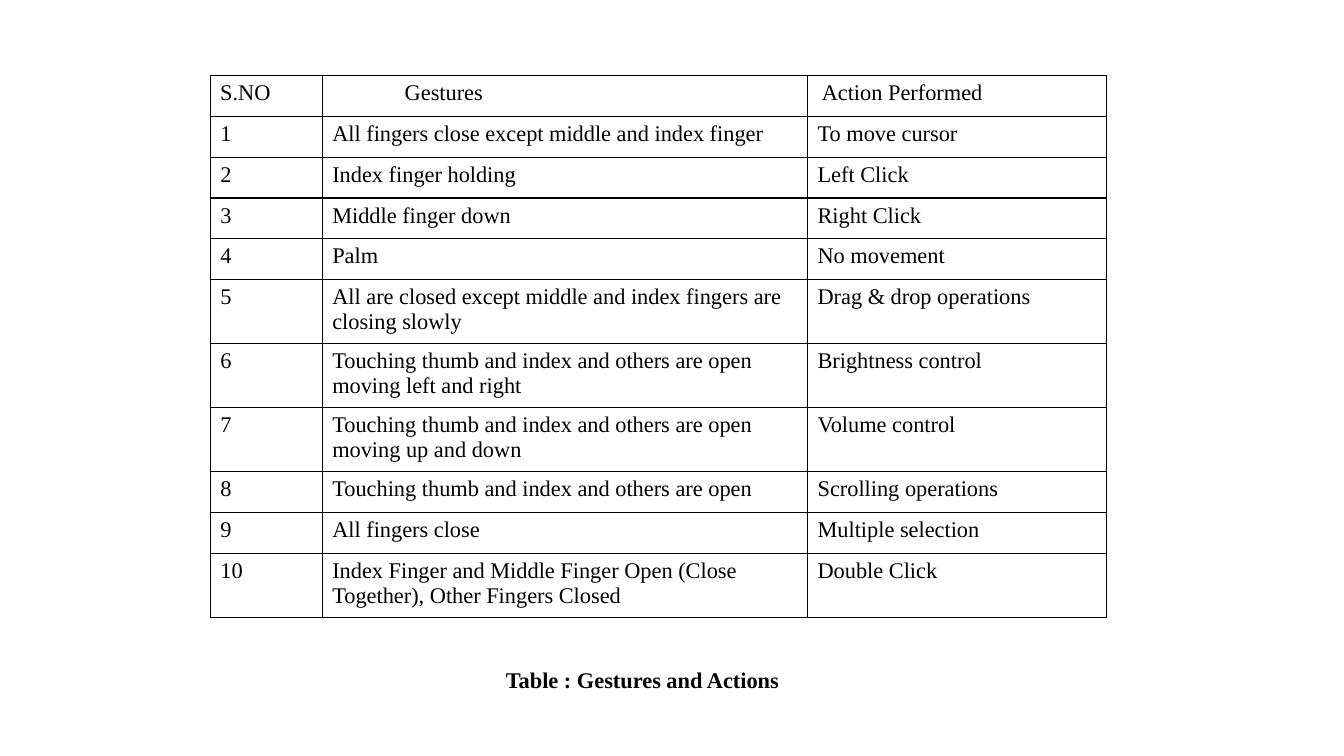
from lxml import etree
from pptx import Presentation
from pptx.dml.color import RGBColor
from pptx.enum.text import MSO_ANCHOR
from pptx.oxml.ns import qn
from pptx.util import Cm, Pt

BLACK = RGBColor(0x00, 0x00, 0x00)
TOP = MSO_ANCHOR.TOP
FONT_FORMAT = {"name": "Times New Roman", "size": Pt(16), "bold": False}
COLUMN_WIDTHS = [2.82, 12.23, 7.53]
ONE_LINE, TWO_LINES = 1.03, 1.61
HEADER_INDENTS = [0.25, 2.08, 0.36]
BORDER_SIDES = ["a:lnL", "a:lnR", "a:lnT", "a:lnB"]

HEADER = ["S.NO", "Gestures", "Action Performed"]
GESTURES = [
    ("All fingers close except middle and index finger", "To move cursor", ONE_LINE),
    ("Index finger holding", "Left Click", ONE_LINE),
    ("Middle finger down", "Right Click", ONE_LINE),
    ("Palm", "No movement", ONE_LINE),
    ("All are closed except middle and index fingers are closing slowly",
     "Drag & drop operations", TWO_LINES),
    ("Touching thumb and index and others are open moving left and right",
     "Brightness control", TWO_LINES),
    ("Touching thumb and index and others are open moving up and down",
     "Volume control", TWO_LINES),
    ("Touching thumb and index and others are open", "Scrolling operations", ONE_LINE),
    ("All fingers close", "Multiple selection", ONE_LINE),
    ("Index Finger and Middle Finger Open (Close Together), Other Fingers Closed",
     "Double Click", TWO_LINES),
]


def write_text(text_frame, text, **changes):
    run = text_frame.paragraphs[0].add_run()
    run.text = text
    for attribute, value in {**FONT_FORMAT, **changes}.items():
        setattr(run.font, attribute, value)
    run.font.color.rgb = BLACK


def add_borders(cell):
    properties = cell._tc.get_or_add_tcPr()
    for position, side in enumerate(BORDER_SIDES):
        line = etree.Element(qn(side), w=str(Pt(1)))
        fill = etree.SubElement(line, qn("a:solidFill"))
        etree.SubElement(fill, qn("a:srgbClr"), val=str(BLACK))
        properties.insert(position, line)


presentation = Presentation()
presentation.slide_width = Cm(33.87)
presentation.slide_height = Cm(19.05)
slide = presentation.slides.add_slide(presentation.slide_layouts[6])

caption = slide.shapes.add_textbox(Cm(12.5), Cm(16.66), Cm(16.94), Cm(0.94))
caption.text_frame.word_wrap = True
write_text(caption.text_frame, "Table : Gestures and Actions", bold=True)

rows = [(HEADER, ONE_LINE)]
for number, (gesture, action, height) in enumerate(GESTURES, start=1):
    rows.append(([str(number), gesture, action], height))

table_height = sum(height for texts, height in rows)
table = slide.shapes.add_table(
    len(rows), len(HEADER), Cm(5.3), Cm(1.9), Cm(sum(COLUMN_WIDTHS)), Cm(table_height)
).table
table.first_row = False
table.horz_banding = False

for column, width in zip(table.columns, COLUMN_WIDTHS):
    column.width = Cm(width)

for row, (texts, height) in zip(table.rows, rows):
    row.height = Cm(height)
    for cell, text in zip(row.cells, texts):
        cell.fill.background()
        cell.vertical_anchor = TOP
        write_text(cell.text_frame, text)
        add_borders(cell)

for cell, indent in zip(table.rows[0].cells, HEADER_INDENTS):
    cell.margin_left = Cm(indent)

presentation.save("out.pptx")
